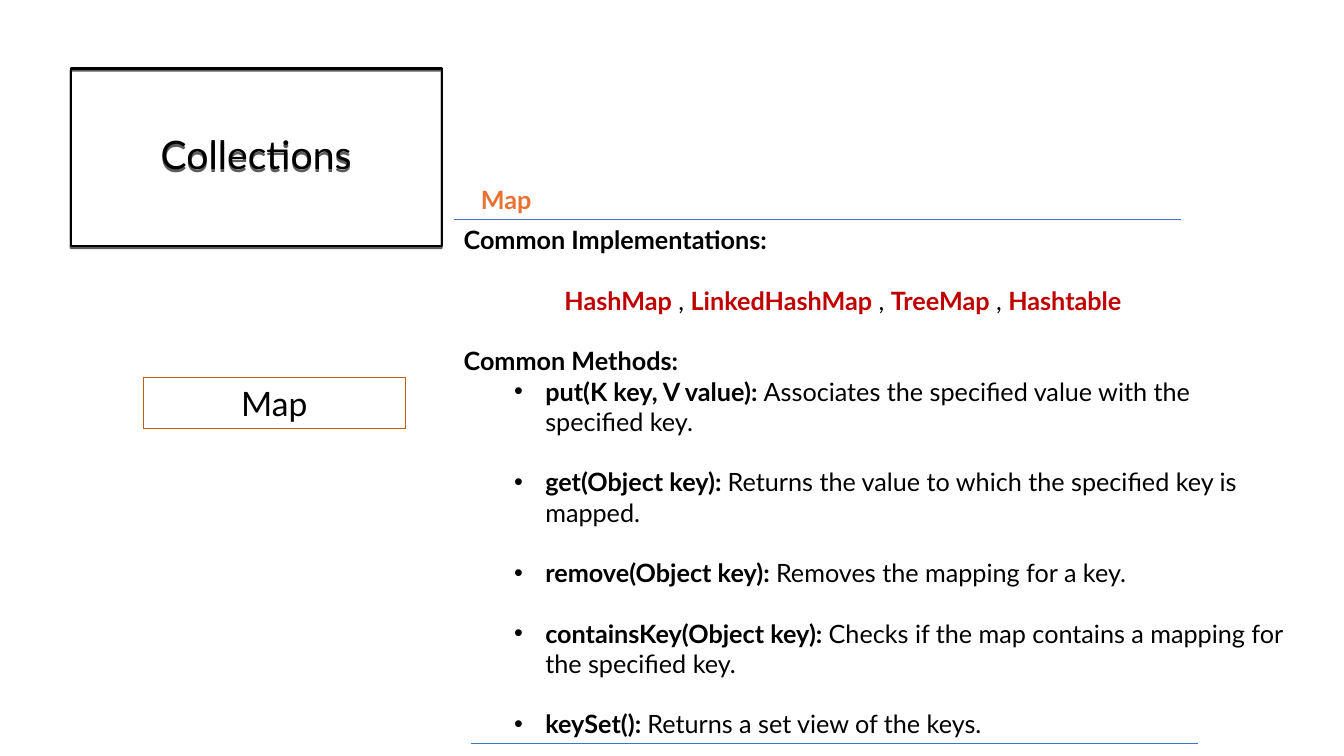
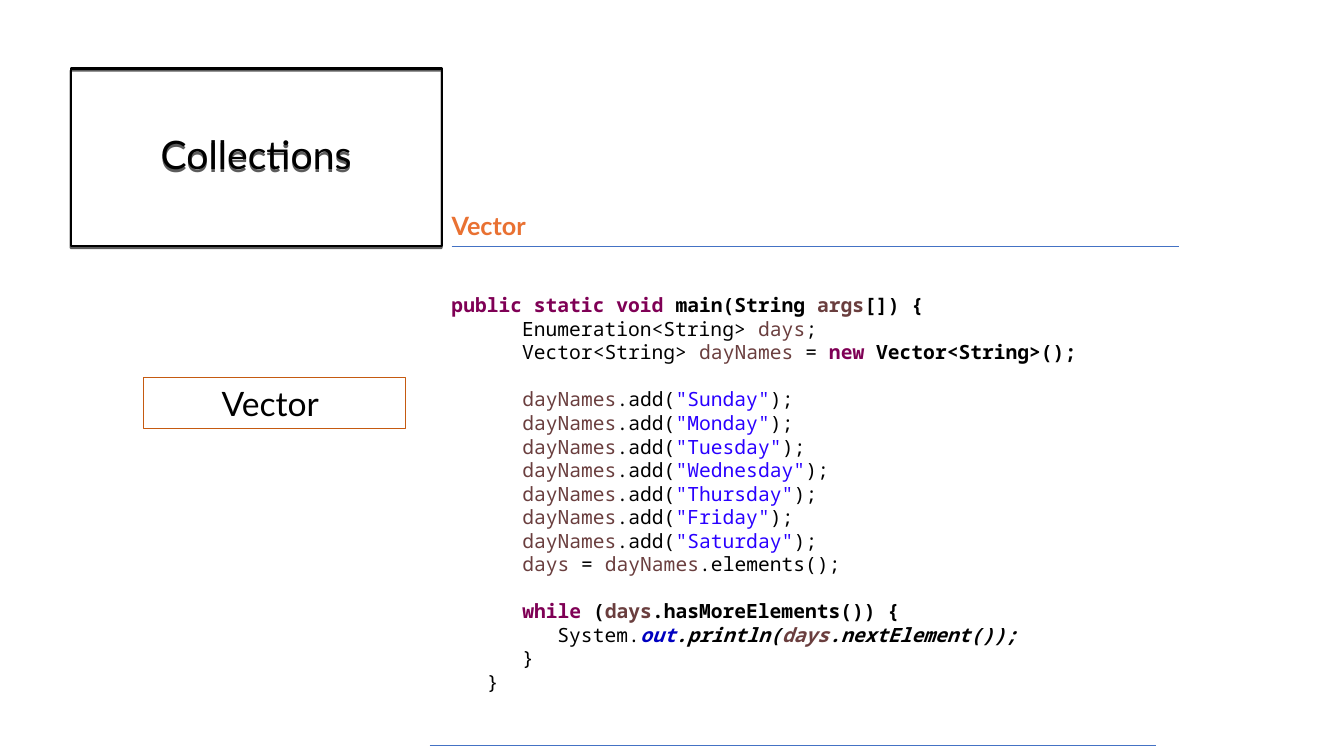
"""Build two slides on Java collections: the Map interface and a Vector example."""
from lxml import etree
from pptx import Presentation
from pptx import util as u
from pptx.dml.color import RGBColor
from pptx.enum import shapes, text
from pptx.oxml.ns import qn

BLACK = RGBColor(0x00, 0x00, 0x00)
BLUE = RGBColor(0x44, 0x72, 0xC4)
ORANGE = RGBColor(0xE9, 0x71, 0x32)
RUST = RGBColor(0xC5, 0x5A, 0x11)
RED = RGBColor(0xC0, 0x00, 0x00)
PURPLE = RGBColor(0x7F, 0x00, 0x55)
BROWN = RGBColor(0x6A, 0x3E, 0x3E)
STRING_BLUE = RGBColor(0x2A, 0x00, 0xFF)
FIELD_BLUE = RGBColor(0x00, 0x00, 0xC0)

BODY = {"name": "Lato", "size": u.Pt(18)}
CODE = {"name": "Noto Sans Mono", "size": u.Pt(14)}
TITLE = {"name": "Lato", "size": u.Pt(28)}
LABEL = {"name": "Lato", "size": u.Pt(24)}
BODY_GAP, CODE_GAP = 21.6, 16.8
RULE_LENGTH = 7.21

STYLES = {
    "plain": {"color": BLACK},
    "bold": {"color": BLACK, "bold": True},
    "heading": {"color": ORANGE, "bold": True},
    "class": {"color": RED, "bold": True},
    "keyword": {"color": PURPLE, "bold": True},
    "variable": {"color": BROWN},
    "bold variable": {"color": BROWN, "bold": True},
    "string": {"color": STRING_BLUE},
    "field": {"color": FIELD_BLUE, "bold": True, "italic": True},
    "slanted": {"color": BLACK, "bold": True, "italic": True},
    "slanted variable": {"color": BROWN, "bold": True, "italic": True},
}

IMPLEMENTATIONS = ["HashMap", "LinkedHashMap", "TreeMap", "Hashtable"]
METHODS = [
    ("put(K key, V value): ", "Associates the specified value with the specified key."),
    ("get(Object key): ", "Returns the value to which the specified key is mapped."),
    ("remove(Object key): ", "Removes the mapping for a key."),
    ("containsKey(Object key): ", "Checks if the map contains a mapping for the specified key."),
    ("keySet(): ", "Returns a set view of the keys."),
]
DAYS = ["Sunday", "Monday", "Tuesday", "Wednesday", "Thursday", "Friday", "Saturday"]
INDENT = ("      ", "plain")
CODE_LINES = [
    [("public static void", "keyword"), (" main(String ", "bold"),
     ("args", "bold variable"), ("[]) {", "bold")],
    [("      Enumeration<String> ", "plain"), ("days", "variable"), (";", "plain")],
    [("      Vector<String> ", "plain"), ("dayNames", "variable"), (" = ", "plain"),
     ("new", "keyword"), (" Vector<String>();", "bold")],
    *[[INDENT, ("dayNames", "variable"), (".add(", "plain"), (f'"{day}"', "string"), (");", "plain")]
      for day in DAYS],
    [INDENT, ("days", "variable"), (" = ", "plain"), ("dayNames", "variable"),
     (".elements();", "plain")],
    [INDENT, ("while", "keyword"), (" (", "bold"), ("days", "bold variable"),
     (".hasMoreElements()) {", "bold")],
    [("         System.", "plain"), ("out", "field"), (".println(", "slanted"),
     ("days", "slanted variable"), (".nextElement());", "slanted")],
    [("      }", "plain")],
    [("   }", "plain")],
]
GAP_BEFORE = {("dayNames", DAYS[0]), ("while", "")}

SLIDES = [
    {"label": "Map", "heading": ("Map", 4.67, 1.78), "rules": [(4.5, 2.18), (4.67, 7.37)]},
    {"label": "Vector ", "heading": ("Vector", 4.38, 2.04), "rules": [(4.48, 2.44), (4.26, 7.39)]},
]


def write(paragraph, runs, base, **layout):
    """Add styled runs to a paragraph and apply its layout values."""
    for key, value in layout.items():
        setattr(paragraph, key, value)
    for words, style in runs:
        run = paragraph.add_run()
        run.text = words
        for key, value in {**base, **STYLES[style]}.items():
            if key == "color":
                run.font.color.rgb = value
            else:
                setattr(run.font, key, value)


def indent(paragraph, left, hanging=0, bullet=None):
    """Set the left margin and, where given, a hanging bullet."""
    properties = paragraph._p.get_or_add_pPr()
    properties.set("marL", str(u.Inches(left)))
    properties.set("indent", str(-u.Inches(hanging)))
    if bullet:
        etree.SubElement(properties, qn("a:buFont"), typeface="Arial")
        etree.SubElement(properties, qn("a:buChar"), char=bullet)


def add_text(slide, left, top, width, height):
    """Add a wrapping text box and return its frame."""
    frame = slide.shapes.add_textbox(*map(u.Inches, (left, top, width, height))).text_frame
    frame.word_wrap = True
    return frame


def next_paragraph(frame):
    """Return the empty first paragraph, or a new one."""
    first = frame.paragraphs[0]
    return frame.add_paragraph() if first.runs else first


def add_frame(slide, box, words, base, color, weight, **layout):
    """Add an unfilled outlined rectangle with centred text."""
    shape = slide.shapes.add_shape(shapes.MSO_SHAPE.RECTANGLE, *map(u.Inches, box))
    shape.fill.background()
    shape.line.color.rgb = color
    shape.line.width = u.Pt(weight)
    shape.shadow.inherit = False
    shape.text_frame.vertical_anchor = text.MSO_ANCHOR.MIDDLE
    write(shape.text_frame.paragraphs[0], [(words, "plain")], base,
          alignment=text.PP_ALIGN.CENTER, **layout)
    return shape


def add_shadow(shape):
    """Give a shape a sharp shadow straight below it."""
    effects = shape._element.spPr.find(qn("a:effectLst"))
    shadow = etree.SubElement(effects, qn("a:outerShdw"), blurRad="0", dist=str(u.Pt(1.5)),
                              dir="5400000", rotWithShape="0")
    color = etree.SubElement(shadow, qn("a:srgbClr"), val=str(BLACK))
    etree.SubElement(color, qn("a:alpha"), val="63000")


def add_rule(slide, left, top):
    """Add a thin horizontal line."""
    rule = slide.shapes.add_connector(
        shapes.MSO_CONNECTOR.STRAIGHT, *map(u.Inches, (left, top, left + RULE_LENGTH, top)))
    rule.line.color.rgb = BLUE
    rule.line.width = u.Pt(0.5)
    etree.SubElement(rule._element.spPr, qn("a:effectLst"))


def add_base(presentation, label, heading, rules):
    """Add a slide with the title, label, heading and rules."""
    slide = presentation.slides.add_slide(presentation.slide_layouts[6])
    add_shadow(add_frame(slide, (0.7, 0.68, 3.68, 1.76), "Collections", TITLE, BLACK, 1.5,
                         line_spacing=0.9))
    for left, top in rules:
        add_rule(slide, left, top)
    words, left, top = heading
    write(add_text(slide, left, top, 2.51, 0.4).paragraphs[0], [(words, "heading")], BODY)
    add_frame(slide, (1.42, 3.75, 2.6, 0.5), label, LABEL, RUST, 0.75)
    return slide


def add_map_body(slide):
    """List the Map implementations and methods."""
    frame = add_text(slide, 4.5, 2.18, 8.35, 5.25)
    gap = u.Pt(BODY_GAP)
    write(next_paragraph(frame), [("Common Implementations:", "bold")], BODY)
    names = [(name, "class") for name in IMPLEMENTATIONS]
    runs = [names[0]]
    for name in names[1:]:
        runs += [(" , ", "plain"), name]
    paragraph = next_paragraph(frame)
    indent(paragraph, 1)
    write(paragraph, runs, BODY, space_before=gap)
    write(next_paragraph(frame), [("Common Methods:", "bold")], BODY, space_before=gap)
    for index, (signature, meaning) in enumerate(METHODS):
        paragraph = next_paragraph(frame)
        paragraph.space_before = gap if index else u.Pt(0)
        indent(paragraph, 0.81, 0.31, "•")
        write(paragraph, [(signature, "bold"), (meaning, "plain")], BODY)


def add_vector_body(slide):
    """Show the Vector program."""
    frame = add_text(slide, 4.38, 2.86, 6.67, 4.11)
    for runs in CODE_LINES:
        words = "".join(part for part, _ in runs)
        opens_block = DAYS[0] in words or "while" in words
        write(next_paragraph(frame), runs, CODE,
              space_before=u.Pt(CODE_GAP if opens_block else 0))


def main():
    """Build and save the presentation."""
    presentation = Presentation()
    presentation.slide_width, presentation.slide_height = u.Inches(13.33), u.Inches(7.5)
    for content, add_body in zip(SLIDES, (add_map_body, add_vector_body)):
        add_body(add_base(presentation, **content))
    presentation.save("out.pptx")


if __name__ == "__main__":
    main()
